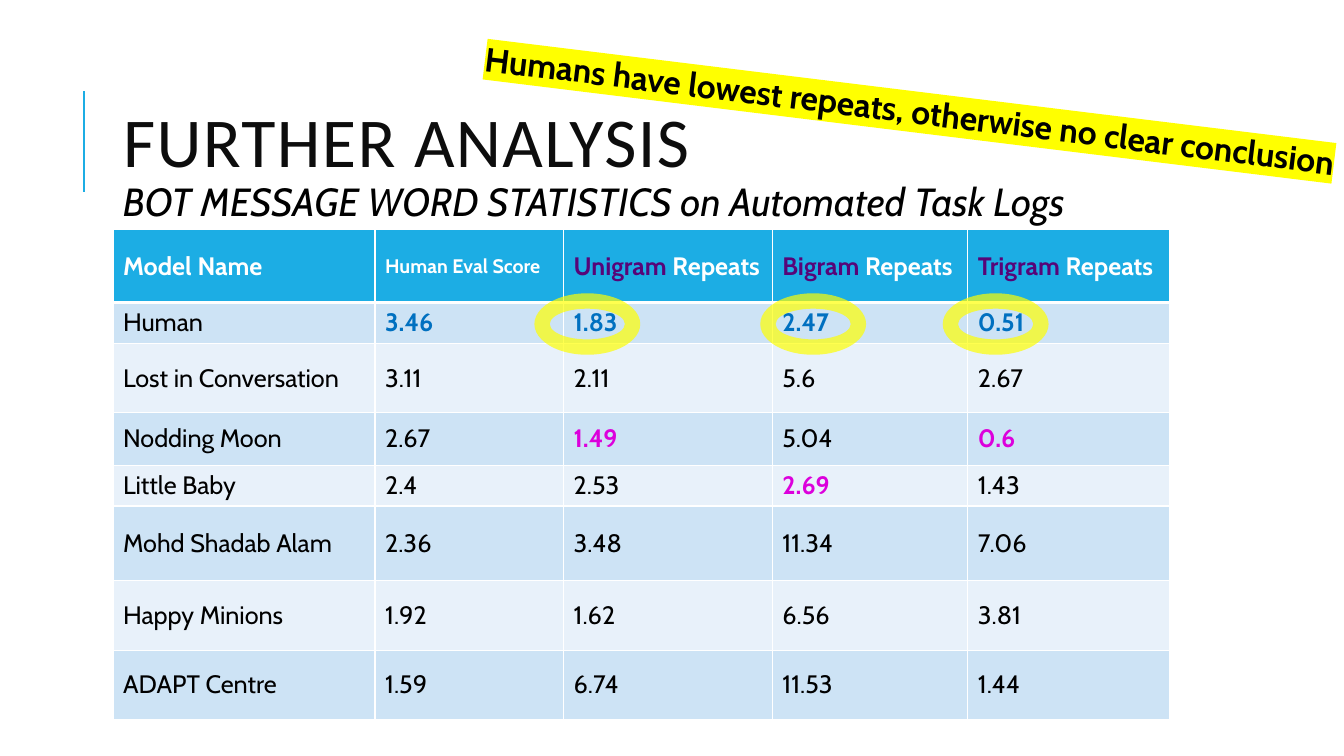
from pptx import Presentation
from pptx.dml.color import RGBColor
from pptx.enum.shapes import MSO_CONNECTOR, MSO_SHAPE
from pptx.enum.text import MSO_ANCHOR, PP_ALIGN
from pptx.oxml.ns import qn
from pptx.util import Inches, Pt
from lxml.etree import SubElement

BLUE = RGBColor(0x1C, 0xAD, 0xE4)
WHITE = RGBColor(0xFF, 0xFF, 0xFF)
BLACK = RGBColor(0, 0, 0)
INK = RGBColor(0x0D, 0x0D, 0x0D)
PURPLE = RGBColor(0x57, 0x05, 0x78)
BEST = RGBColor(0x00, 0x70, 0xC0)
PINK = RGBColor(0xDC, 0x00, 0xDC)
YELLOW = RGBColor(0xFF, 0xFF, 0x00)
BANDS = [RGBColor(0xE8, 0xF1, 0xFA), RGBColor(0xCD, 0xE3, 0xF5)]

WIDTHS = [2.6, 1.87, 2.07, 1.94, 2]
HEIGHTS = [0.72, 0.4, 0.69, 0.52, 0.4, 0.74, 0.69, 0.69]
GRAMS = ["Unigram", "Bigram", "Trigram"]
SCORES = [
    ["Human", "3.46", "1.83", "2.47", "0.51"],
    ["Lost in Conversation", "3.11", "2.11", "5.6", "2.67"],
    ["Nodding Moon", "2.67", "1.49", "5.04", "0.6"],
    ["Little Baby", "2.4", "2.53", "2.69", "1.43"],
    ["Mohd Shadab Alam", "2.36", "3.48", "11.34", "7.06"],
    ["Happy Minions", "1.92", "1.62", "6.56", "3.81"],
    ["ADAPT Centre", "1.59", "6.74", "11.53", "1.44"],
]
# Row and column of coloured scores
MARKS = {(1, col): BEST for col in range(1, 5)}
MARKS.update({(3, 2): PINK, (3, 4): PINK, (4, 3): PINK})


def add_run(para, text, size, color, bold=False, italic=False, face="Cabin"):
    run = para.add_run()
    run.text = text
    font = run.font
    font.size, font.bold, font.italic, font.name = Pt(size), bold, italic, face
    font.color.rgb = color
    return run


def add_color(parent, color):
    fill = SubElement(parent, qn("a:solidFill"))
    return SubElement(fill, qn("a:srgbClr"), val=str(color))


def add_title(slide, text):
    title = slide.shapes.title
    title.left, title.top = Inches(1.12), Inches(0.64)
    title.width, title.height = Inches(10.63), Inches(1.64)
    title.text_frame.vertical_anchor = MSO_ANCHOR.MIDDLE
    para = title.text_frame.paragraphs[0]
    para.alignment = PP_ALIGN.LEFT
    para.line_spacing = 0.8
    run = add_run(para, text, 50, INK, face="Calibri")
    run.font._element.set("spc", "100")


def add_rule(slide):
    rule = slide.shapes.add_connector(
        MSO_CONNECTOR.STRAIGHT, Inches(0.83), Inches(1.9), Inches(0.83), Inches(0.9))
    rule.line.color.rgb = BLUE
    rule.line.width = Pt(1.5)
    SubElement(rule._element.spPr, qn("a:effectLst"))


def add_text(slide, box, text, size, **style):
    shape = slide.shapes.add_textbox(*map(Inches, box))
    shape.text_frame.word_wrap = True
    return shape, add_run(shape.text_frame.paragraphs[0], text, size, BLACK, **style)


def add_banner(slide, text):
    shape, run = add_text(slide, (4.68, 0.9, 9.66, 0.5), text, 24, bold=True)
    shape.rotation = 7
    props = run.font._element
    light = SubElement(props, qn("a:highlight"))
    SubElement(light, qn("a:srgbClr"), val=str(YELLOW))
    props.find(qn("a:solidFill")).addnext(light)


def set_cell(cell, row, runs):
    cell.fill.solid()
    cell.fill.fore_color.rgb = BANDS[row % 2] if row else BLUE
    cell.vertical_anchor = MSO_ANCHOR.MIDDLE
    for text, size, color, bold in runs:
        add_run(cell.text_frame.paragraphs[0], text, size, color, bold)
    # White borders, thick below the header
    props = cell._tc.get_or_add_tcPr()
    for spot, side in enumerate("LRTB"):
        thick = (row, side) in [(0, "B"), (1, "T")]
        line = SubElement(props, qn("a:ln" + side), w=str(Pt(3 if thick else 1)))
        add_color(line, WHITE)
        props.insert(spot, line)


def add_grid(slide):
    frame = slide.shapes.add_table(
        len(HEIGHTS), len(WIDTHS), Inches(1.12), Inches(2.28),
        Inches(sum(WIDTHS)), Inches(sum(HEIGHTS)))
    table = frame.table
    for col, width in zip(table.columns, WIDTHS):
        col.width = Inches(width)
    for row, height in zip(table.rows, HEIGHTS):
        row.height = Inches(height)
    # Header
    heads = [[("Model Name", 18, WHITE, True)], [("Human Eval Score", 14, WHITE, True)]]
    heads += [[(gram, 18, PURPLE, True), (" Repeats", 18, WHITE, True)] for gram in GRAMS]
    for col, runs in enumerate(heads):
        set_cell(table.cell(0, col), 0, runs)
    # Scores
    for row, texts in enumerate(SCORES, 1):
        for col, text in enumerate(texts):
            mark = MARKS.get((row, col))
            set_cell(table.cell(row, col), row, [(text, 18, mark or BLACK, bool(mark))])


def add_ring(slide, left):
    ring = slide.shapes.add_shape(
        MSO_SHAPE.DONUT, Inches(left), Inches(2.91), Inches(1.05), Inches(0.61))
    ring.shadow.inherit = False
    ring.line.fill.background()
    ring.fill.solid()
    ring.fill.fore_color.rgb = YELLOW
    color = ring._element.spPr.find(qn("a:solidFill")).find(qn("a:srgbClr"))
    SubElement(color, qn("a:alpha"), val="69000")


def main():
    deck = Presentation()
    deck.slide_width, deck.slide_height = Inches(13.33), Inches(7.5)
    slide = deck.slides.add_slide(deck.slide_layouts[5])
    add_rule(slide)
    add_title(slide, "FURTHER ANALYSIS")
    add_grid(slide)
    add_text(slide, (1.12, 1.71, 10.1, 0.57),
             "BOT MESSAGE WORD STATISTICS on Automated Task Logs", 28, italic=True)
    add_banner(slide, "Humans have lowest repeats, otherwise no clear conclusion")
    for left in (5.3, 7.54, 9.35):
        add_ring(slide, left)
    deck.save("out.pptx")


if __name__ == "__main__":
    main()
